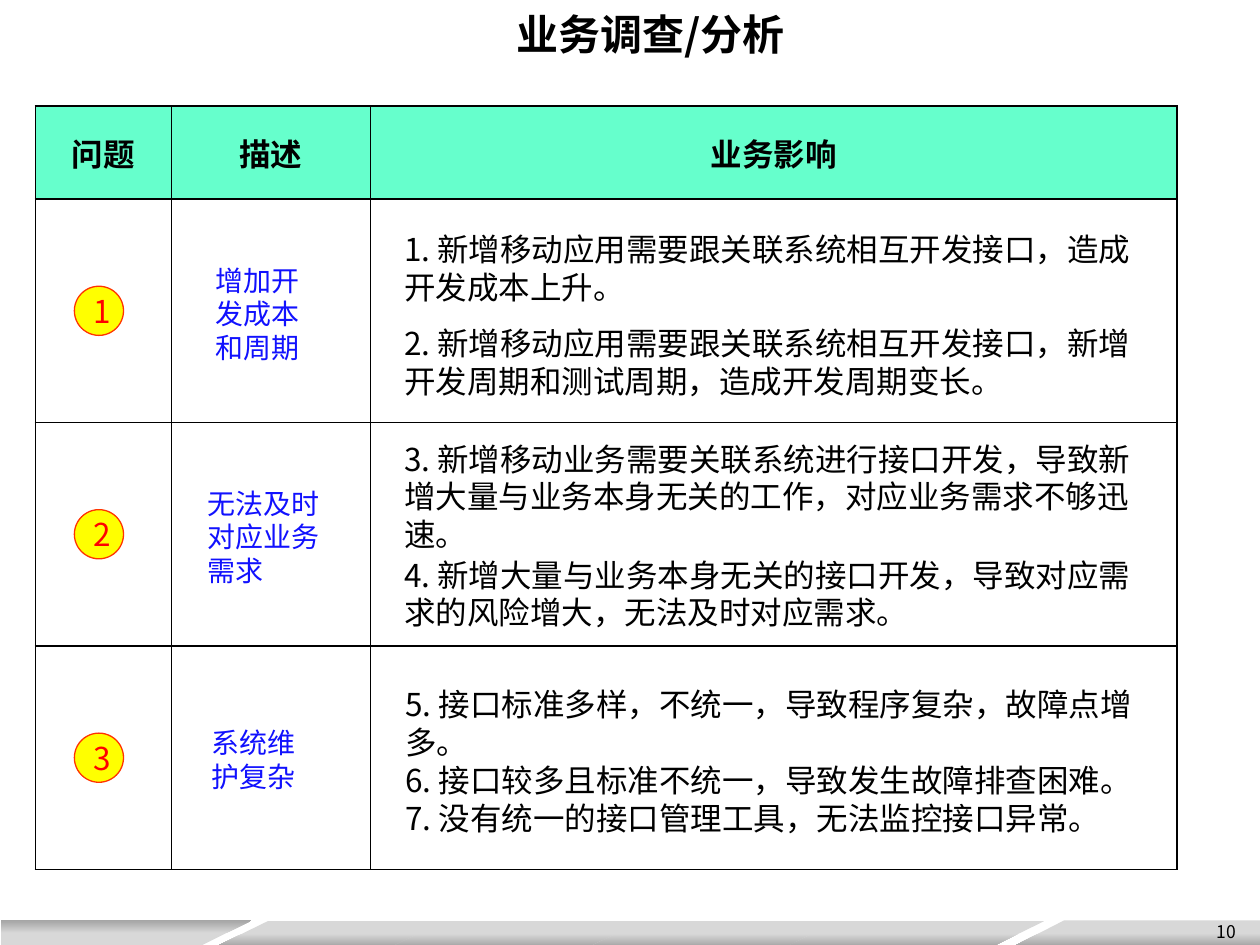
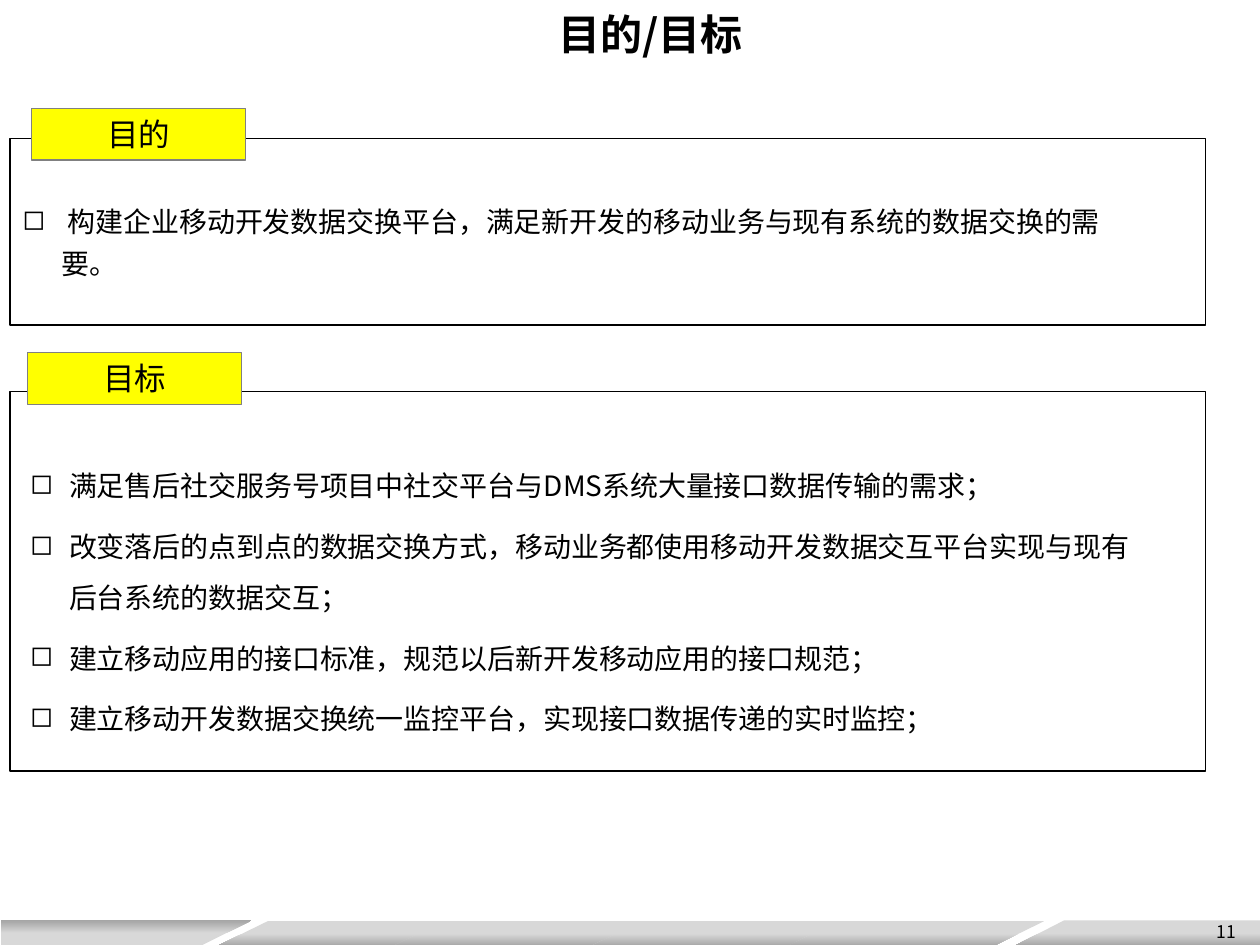
from dataclasses import dataclass
from typing import Any

from lxml.etree import SubElement
from pptx import Presentation
from pptx.dml.color import RGBColor
from pptx.enum.shapes import MSO_SHAPE
from pptx.enum.text import MSO_ANCHOR, PP_ALIGN
from pptx.oxml import parse_xml
from pptx.oxml.ns import nsdecls, qn
from pptx.util import Inches, Pt

FONT = "Noto Sans CJK SC"
COLORS = {
    "black": "000000",
    "header": "66FFCC",
    "yellow": "FFFF00",
    "ring": "FF3300",
    "number": "FF0000",
    "topic": "1111FE",
    "tag_line": "808080",
    "band_light": "D8D8D8",
    "band_dark": "A5A5A5",
}


@dataclass(frozen=True)
class Area:
    left: float
    top: float
    width: float
    height: float

    def lengths(self) -> tuple:
        return tuple(Inches(side) for side in (self.left, self.top, self.width, self.height))


@dataclass(frozen=True)
class TextStyle:
    size: int
    color: str = "black"
    bold: bool = False
    align: Any = PP_ALIGN.LEFT
    anchor: Any = MSO_ANCHOR.TOP
    line_spacing: Any = None
    space_before: int = 0
    bullet: str = ""


@dataclass(frozen=True)
class Band:
    area: Area
    kind: Any = MSO_SHAPE.FLOWCHART_DATA
    angle: int = 90
    rotation: int = 0
    flip: str = ""


@dataclass(frozen=True)
class Impact:
    area: Area
    lines: tuple


@dataclass(frozen=True)
class Issue:
    topic: str
    topic_area: Area
    impacts: tuple


@dataclass(frozen=True)
class Section:
    tag: str
    tag_area: Area
    frame: Area
    body: Area
    lines: tuple
    style: TextStyle


TITLE = TextStyle(24, bold=True, align=PP_ALIGN.CENTER)
PAGE_NUMBER = TextStyle(10, align=PP_ALIGN.RIGHT, anchor=MSO_ANCHOR.MIDDLE)
HEADER = TextStyle(18, bold=True, align=PP_ALIGN.CENTER, anchor=MSO_ANCHOR.MIDDLE)
NUMBER = TextStyle(18, "number", align=PP_ALIGN.CENTER, anchor=MSO_ANCHOR.MIDDLE)
TOPIC = TextStyle(16, "topic")
IMPACT = TextStyle(18)
TAG = TextStyle(18, align=PP_ALIGN.CENTER)
PURPOSE = TextStyle(16, line_spacing=Pt(24), space_before=6, bullet="◻")
GOALS = TextStyle(16, line_spacing=1.5, space_before=6, bullet="◻")

BANDS = (
    Band(Area(0.9, 6.41, 0.2, 1.99), MSO_SHAPE.FLOWCHART_MANUAL_INPUT, 0, 90, "flipH"),
    *(Band(Area(left, 7.31, 2.04, 0.2)) for left in (1.72, 3.12, 4.69, 6.25)),
    Band(Area(8.93, 6.43, 0.2, 1.95), MSO_SHAPE.FLOWCHART_MANUAL_INPUT, 0, 90, "flipV"),
)

TABLE = Area(0.28, 0.84, 9.06, 6.06)
HEADINGS = {"问题": 1.08, "描述": 1.58, "业务影响": 6.4}
HEADER_HEIGHT = 0.74
CIRCLE = 0.39

ISSUES = (
    Issue("增加开发成本和周期", Area(1.61, 2.04, 0.98, 0.91), (
        Impact(Area(3.11, 1.78, 6.06, 0.71),
               ("1. 新增移动应用需要跟关联系统相互开发接口，造成开发成本上升。",)),
        Impact(Area(3.11, 2.52, 6.06, 0.71),
               ("2. 新增移动应用需要跟关联系统相互开发接口，新增开发周期和测试周期，造成开发周期变长。",)),
    )),
    Issue("无法及时对应业务需求", Area(1.55, 3.81, 1.12, 0.91), (
        Impact(Area(3.11, 3.44, 6.06, 1.01),
               ("3. 新增移动业务需要关联系统进行接口开发，导致新增大量与业务本身无关的工作，对应业务需求不够迅速。",)),
        Impact(Area(3.11, 4.36, 6.06, 0.71),
               ("4. 新增大量与业务本身无关的接口开发，导致对应需求的风险增大，无法及时对应需求。",)),
    )),
    Issue("系统维护复杂", Area(1.58, 5.71, 0.98, 0.64), (
        Impact(Area(3.12, 5.39, 6.06, 1.31), (
            "5. 接口标准多样，不统一，导致程序复杂，故障点增多。",
            "6. 接口较多且标准不统一，导致发生故障排查困难。",
            "7. 没有统一的接口管理工具，无法监控接口异常。",
        )),
    )),
)

SECTIONS = (
    Section("目的", Area(0.25, 0.86, 1.7, 0.41), Area(0.08, 1.1, 9.49, 1.48),
            Area(0.08, 1.51, 8.94, 0.77),
            (" 构建企业移动开发数据交换平台，满足新开发的移动业务与现有系统的数据交换的需要。",), PURPOSE),
    Section("目标", Area(0.22, 2.8, 1.7, 0.41), Area(0.08, 3.11, 9.49, 3.01),
            Area(0.14, 3.54, 9.13, 2.33), (
                "满足售后社交服务号项目中社交平台与DMS系统大量接口数据传输的需求；",
                "改变落后的点到点的数据交换方式，移动业务都使用移动开发数据交互平台实现与现有后台系统的数据交互；",
                "建立移动应用的接口标准，规范以后新开发移动应用的接口规范；",
                "建立移动开发数据交换统一监控平台，实现接口数据传递的实时监控；",
            ), GOALS),
)


def color(name: str) -> RGBColor:
    return RGBColor.from_string(COLORS[name])


def apply_values(target: Any, values: dict) -> None:
    for name, value in values.items():
        setattr(target, name, value)


def write_lines(frame: Any, lines: tuple, style: TextStyle) -> None:
    frame.word_wrap = True
    for index, line in enumerate(lines):
        para = frame.add_paragraph() if index else frame.paragraphs[0]
        apply_values(para, {
            "alignment": style.align,
            "line_spacing": style.line_spacing,
            "space_before": Pt(style.space_before),
        })
        if style.bullet:
            properties = para._p.get_or_add_pPr()
            properties.set("marL", str(Inches(0.31)))
            properties.set("indent", str(-Inches(0.31)))
            SubElement(properties, qn("a:buChar"), char=style.bullet)
        span = para.add_run()
        span.text = line
        apply_values(span.font, {"name": FONT, "size": Pt(style.size), "bold": style.bold})
        span.font.color.rgb = color(style.color)
        SubElement(span._r.get_or_add_rPr(), qn("a:ea"), typeface=FONT)


def add_text(page: Any, area: Area, lines: tuple, style: TextStyle) -> None:
    box = page.shapes.add_textbox(*area.lengths())
    box.text_frame.vertical_anchor = style.anchor
    write_lines(box.text_frame, lines, style)


def add_box(page: Any, kind: Any, area: Area, fill: str = "", line: str = "") -> Any:
    box = page.shapes.add_shape(kind, *area.lengths())
    box.shadow.inherit = False
    if fill:
        box.fill.solid()
        box.fill.fore_color.rgb = color(fill)
    else:
        box.fill.background()
    if line:
        box.line.color.rgb = color(line)
        box.line.width = Pt(0.75)
    else:
        box.line.fill.background()
    return box


def add_band(page: Any, band: Band) -> None:
    box = add_box(page, band.kind, band.area)
    box.rotation = band.rotation
    properties = box._element.spPr
    if band.flip:
        properties.find(qn("a:xfrm")).set(band.flip, "1")
    stops = "".join(
        f'<a:gs pos="{position * 1000}"><a:srgbClr val="{COLORS[name]}"/></a:gs>'
        for position, name in ((0, "band_light"), (50, "band_light"), (100, "band_dark"))
    )
    gradient = parse_xml(
        f'<a:gradFill {nsdecls("a")} rotWithShape="1"><a:gsLst>{stops}</a:gsLst>'
        f'<a:lin ang="{band.angle * 60000}" scaled="0"/></a:gradFill>'
    )
    properties.replace(properties.find(qn("a:noFill")), gradient)


def add_page(deck: Any, title: str, number: int) -> Any:
    page = deck.slides.add_slide(deck.slide_layouts[6])
    for band in BANDS:
        add_band(page, band)
    add_text(page, Area(7.58, 7.19, 2.33, 0.4), (str(number),), PAGE_NUMBER)
    add_text(page, Area(1.3, 0.02, 7.72, 0.51), (title,), TITLE)
    return page


def add_borders(cell: Any) -> None:
    properties = cell._tc.get_or_add_tcPr()
    for index, edge in enumerate(("lnL", "lnR", "lnT", "lnB")):
        properties.insert(index, parse_xml(
            f'<a:{edge} {nsdecls("a")} w="{Pt(1)}"><a:solidFill>'
            f'<a:srgbClr val="{COLORS["black"]}"/></a:solidFill></a:{edge}>'
        ))


def add_issue_table(page: Any, row_height: float) -> None:
    shape = page.shapes.add_table(len(ISSUES) + 1, len(HEADINGS), *TABLE.lengths())
    table = shape.table
    apply_values(table, {"first_row": False, "horz_banding": False})
    for index, row in enumerate(table.rows):
        row.height = Inches(row_height if index else HEADER_HEIGHT)
    for column, width in zip(table.columns, HEADINGS.values()):
        column.width = Inches(width)
    for cell in table.iter_cells():
        cell.fill.background()
        add_borders(cell)
    for cell, heading in zip(table.rows[0].cells, HEADINGS):
        cell.fill.solid()
        cell.fill.fore_color.rgb = color("header")
        cell.vertical_anchor = HEADER.anchor
        write_lines(cell.text_frame, (heading,), HEADER)


def build_analysis(deck: Any) -> None:
    page = add_page(deck, "业务调查/分析", 10)
    row_height = (TABLE.height - HEADER_HEIGHT) / len(ISSUES)
    add_issue_table(page, row_height)
    for index, issue in enumerate(ISSUES):
        middle = TABLE.top + HEADER_HEIGHT + (index + 0.5) * row_height
        area = Area(0.59, middle - CIRCLE / 2, CIRCLE, CIRCLE)
        circle = add_box(page, MSO_SHAPE.OVAL, area, "yellow", "ring")
        apply_values(circle.text_frame, {
            "margin_left": Inches(0.05), "margin_right": 0, "margin_top": 0, "margin_bottom": 0,
            "vertical_anchor": NUMBER.anchor,
        })
        write_lines(circle.text_frame, (str(index + 1),), NUMBER)
        add_text(page, issue.topic_area, (issue.topic,), TOPIC)
        for impact in issue.impacts:
            add_text(page, impact.area, impact.lines, IMPACT)


def build_goals(deck: Any) -> None:
    page = add_page(deck, "目的/目标", 11)
    for section in SECTIONS:
        add_text(page, section.body, section.lines, section.style)
        add_box(page, MSO_SHAPE.RECTANGLE, section.frame, line="black")
        tag = add_box(page, MSO_SHAPE.RECTANGLE, section.tag_area, "yellow", "tag_line")
        tag.text_frame.vertical_anchor = TAG.anchor
        write_lines(tag.text_frame, (section.tag,), TAG)


def main() -> None:
    deck = Presentation()
    apply_values(deck, {"slide_width": Inches(10), "slide_height": Inches(7.5)})
    build_analysis(deck)
    build_goals(deck)
    deck.save("out.pptx")


if __name__ == "__main__":
    main()
